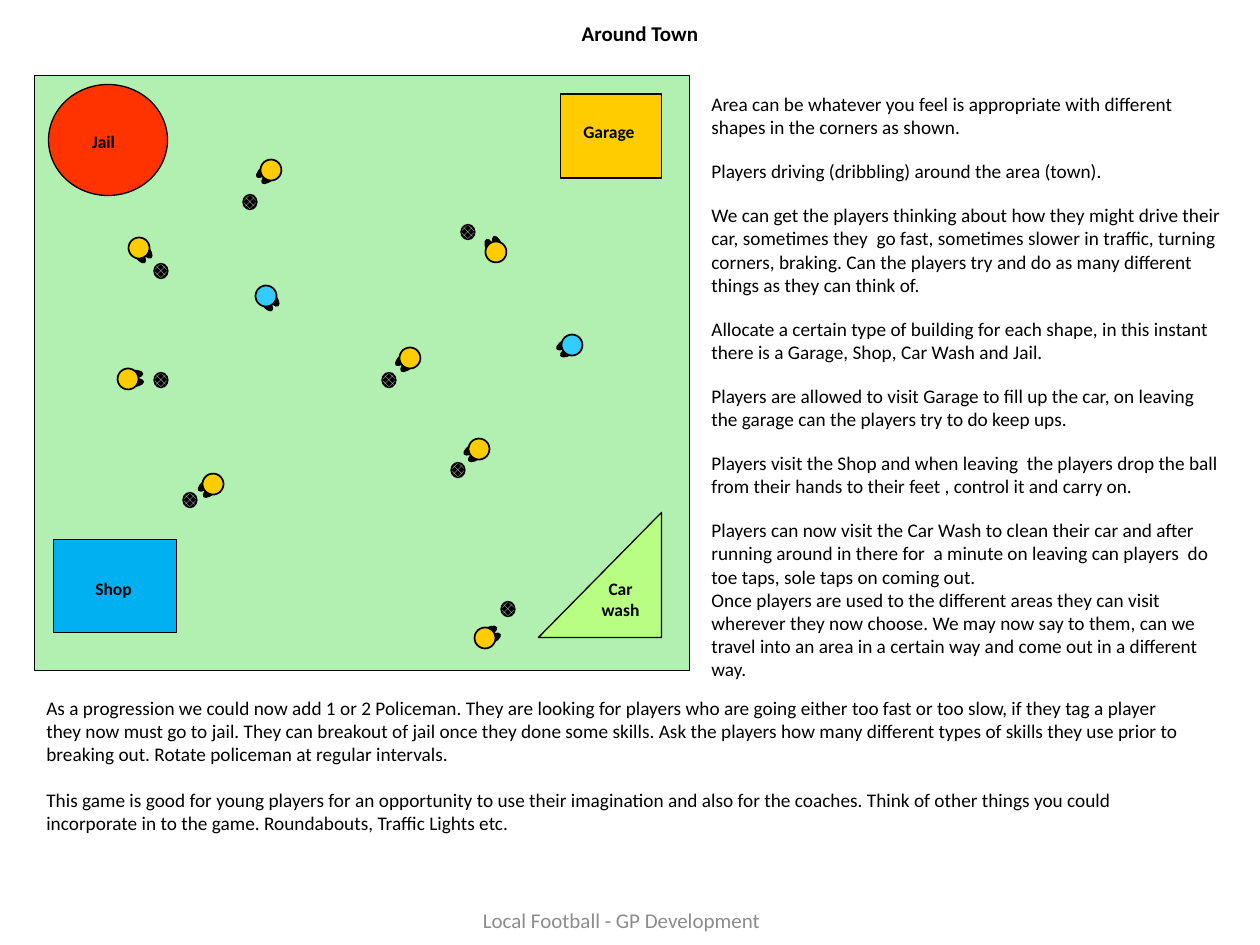
"""Build the Around Town football drill slide."""
import math

import pptx
import pptx.dml.color
import pptx.enum.dml
import pptx.enum.shapes
import pptx.enum.text
import pptx.util

PX = 914400 / 126
COLORS = {
    "ink": "000000", "white": "FFFFFF", "grey": "8C8C8C", "grass": "B2F0B2",
    "jail": "FF3300", "wash": "B7FE82", "shop": "00B0F0", "yellow": "FFCC00",
    "police": "33CCFF",
}
RGB = {name: pptx.dml.color.RGBColor.from_string(code) for name, code in COLORS.items()}
KIND = pptx.enum.shapes.MSO_SHAPE
ALIGN = pptx.enum.text.PP_ALIGN
ANCHOR = pptx.enum.text.MSO_ANCHOR

deck = pptx.Presentation()
deck.slide_width = round(1260 * PX)
deck.slide_height = round(945 * PX)
page = deck.slides.add_slide(deck.slide_layouts[6])


def add_figure(kind, center_x, center_y, width, height, color, turn=0, line=0.75):
    left, top = center_x - width / 2, center_y - height / 2
    figure = page.shapes.add_shape(kind, *(round(v * PX) for v in (left, top, width, height)))
    figure.shadow.inherit = False
    figure.rotation = turn
    figure.fill.solid()
    figure.fill.fore_color.rgb = RGB[color]
    figure.line.color.rgb = RGB["ink"]
    figure.line.width = pptx.util.Pt(line)
    return figure


def add_text(bounds, lines, size, bold=False, align=ALIGN.LEFT, color="ink", gaps=()):
    box = page.shapes.add_textbox(*(round(v * PX) for v in bounds))
    frame = box.text_frame
    frame.word_wrap = True
    for index, line in enumerate(lines):
        para = frame.paragraphs[0] if index == 0 else frame.add_paragraph()
        para.alignment = align
        if gaps and gaps[index]:
            para.space_before = pptx.util.Pt(gaps[index])
        span = para.add_run()
        span.text = line
        span.font.name = "Calibri"
        span.font.size = pptx.util.Pt(size)
        span.font.bold = bold
        span.font.color.rgb = RGB[color]
    return box


title = add_text((402, 16, 476, 49), ["Around Town"], 12, True, ALIGN.CENTER)
title_frame = title.text_frame
title_frame.margin_left = title_frame.margin_right = round(5 * PX)
title_frame.margin_top = title_frame.margin_bottom = round(5 * PX)

areas = [
    (KIND.RECTANGLE, 362, 373, 655, 595, "grass", 180),
    (KIND.OVAL, 108, 140, 119, 111, "jail", 180),
    (KIND.RIGHT_TRIANGLE, 600, 575, 125, 123, "wash", 270),
    (KIND.RECTANGLE, 115, 586, 123, 93, "shop", 180),
    (KIND.RECTANGLE, 611, 136, 101, 84, "yellow", 180),
]
for area in areas:
    add_figure(*area)

players = [
    (479, 449, 236, "yellow"), (572, 345, 241, "police"),
    (266, 296, 144, "police"), (271, 170, 229, "yellow"),
    (213, 484, 231, "yellow"), (496, 252, 338, "yellow"),
    (128, 379, 85, "yellow"), (410, 358, 229, "yellow"),
    (485, 638, 62, "yellow"), (139, 248, 144, "yellow"),
]
FOOT_FORWARD, FOOT_SIDE = 5, 4
for x, y, turn, color in players:
    sine, cosine = math.sin(math.radians(turn)), math.cos(math.radians(turn))
    for side in (-FOOT_SIDE, FOOT_SIDE):
        foot_x = x + FOOT_FORWARD * sine + side * cosine
        foot_y = y - FOOT_FORWARD * cosine + side * sine
        add_figure(KIND.OVAL, foot_x, foot_y, 8, 20, "ink", turn)
    add_figure(KIND.OVAL, x, y, 21, 21, color, turn, 1)

balls = [(468, 232), (250, 202), (161, 271), (161, 380),
         (190, 500), (389, 380), (458, 470), (508, 609)]
for x, y in balls:
    ball = add_figure(KIND.OVAL, x, y, 15, 14, "ink", 270)
    ball.fill.patterned()
    ball.fill.pattern = pptx.enum.dml.MSO_PATTERN.SOLID_DIAMOND
    ball.fill.fore_color.rgb = RGB["white"]
    ball.fill.back_color.rgb = RGB["ink"]

add_text((571, 115, 79, 34), ["Garage"], 10, True)
add_text((581, 572, 79, 55), ["Car", "wash"], 10, True, ALIGN.CENTER)
add_text((74, 572, 79, 34), ["Shop"], 10, True, ALIGN.CENTER)
jail_label = add_text((64, 125, 79, 34), ["Jail"], 10, True, ALIGN.CENTER)
jail_label.fill.solid()
jail_label.fill.fore_color.rgb = RGB["jail"]

instructions = [
    "Area can be whatever you feel is appropriate with different shapes in the corners as shown.",
    "Players driving (dribbling) around the area (town).",
    "We can get the players thinking about how they might drive their car, sometimes they  go fast, "
    "sometimes slower in traffic, turning corners, braking. Can the players try and do as many "
    "different things as they can think of.",
    "Allocate a certain type of building for each shape, in this instant there is a Garage, Shop, "
    "Car Wash and Jail.",
    "Players are allowed to visit Garage to fill up the car, on leaving the garage can the players "
    "try to do keep ups.",
    "Players visit the Shop and when leaving  the players drop the ball from their hands to their "
    "feet , control it and carry on.",
    "Players can now visit the Car Wash to clean their car and after running around in there for  "
    "a minute on leaving can players  do toe taps, sole taps on coming out.",
    "Once players are used to the different areas they can visit wherever they now choose. We may "
    "now say to them, can we travel into an area in a certain way and come out in a different way.",
]
add_text((699, 86, 536, 677), instructions, 11, gaps=[0] + [12] * 6 + [0])

progression = [
    "As a progression we could now add 1 or 2 Policeman. They are looking for players who are going "
    "either too fast or too slow, if they tag a player they now must go to jail. They can breakout "
    "of jail once they done some skills. Ask the players how many different types of skills they "
    "use prior to breaking out. Rotate policeman at regular intervals.",
    "This game is good for young players for an opportunity to use their imagination and also for "
    "the coaches. Think of other things you could incorporate in to the game. Roundabouts, Traffic "
    "Lights etc.",
]
add_text((34, 690, 1171, 152), progression, 11, gaps=[0, 13])

footer = add_text((422, 895, 399, 50), ["Local Football - GP Development"], 12,
                  align=ALIGN.CENTER, color="grey")
footer.text_frame.vertical_anchor = ANCHOR.MIDDLE

deck.save("out.pptx")
